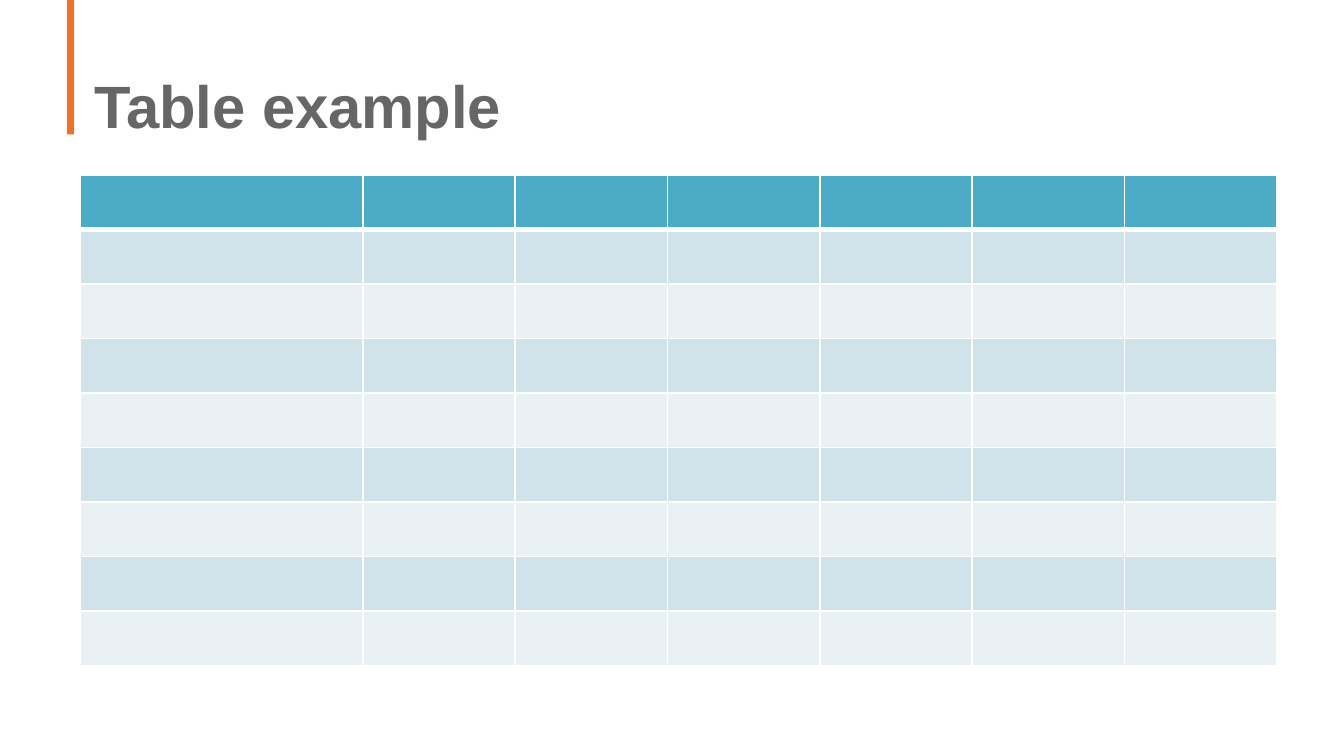
import lxml.etree
import pptx
import pptx.dml.color
import pptx.enum.shapes
import pptx.enum.text
import pptx.oxml.ns
import pptx.util

WIDTH = 10
HEIGHT = WIDTH * 9 / 16
ROWS, COLUMNS = 9, 7
FIRST_COLUMN = 2.1
HEADER, BANDS = "4BACC6", ("E9F1F5", "D0E3EA")


def colour(value):
    """Turn a hex string into a colour."""
    return pptx.dml.color.RGBColor.from_string(value)


def lengths(box):
    """Turn a box in inches into slide lengths."""
    return [pptx.util.Inches(value) for value in box]


def write(frame, text, *, size, font, fill, bold=False, spacing=1.0):
    """Write one left-aligned paragraph into a text frame."""
    para = frame.paragraphs[0]
    para.alignment = pptx.enum.text.PP_ALIGN.LEFT
    para.line_spacing = spacing
    span = para.add_run()
    span.text = text
    span.font.size = pptx.util.Pt(size)
    span.font.name = font
    span.font.bold = bold
    span.font.color.rgb = colour(fill)


def add_accent(page, box):
    """Add the orange bar beside the title."""
    bar = page.shapes.add_shape(pptx.enum.shapes.MSO_SHAPE.RECTANGLE, *lengths(box))
    bar.shadow.inherit = False
    bar.fill.solid()
    bar.fill.fore_color.rgb = colour("F37021")
    bar.line.fill.background()


def add_title(page, box):
    """Place and fill the title placeholder."""
    title = page.shapes.title
    title.left, title.top, title.width, title.height = lengths(box)
    frame = title.text_frame
    frame.word_wrap = True
    frame.auto_size = pptx.enum.text.MSO_AUTO_SIZE.NONE
    frame.vertical_anchor = pptx.enum.text.MSO_ANCHOR.BOTTOM
    write(frame, "Table example", size=32, font="Arial", fill="666666",
          bold=True, spacing=0.9)


def add_border(cell, side, points):
    """Draw a white border on one side of a cell."""
    qualify = pptx.oxml.ns.qn
    line = lxml.etree.SubElement(cell._tc.get_or_add_tcPr(), qualify(f"a:ln{side}"),
                                 w=str(pptx.util.Pt(points)))
    fill = lxml.etree.SubElement(line, qualify("a:solidFill"))
    lxml.etree.SubElement(fill, qualify("a:srgbClr"), val="FFFFFF")


def format_cell(cell, row):
    """Give a cell its borders and band colour."""
    weights = {"L": 1, "R": 1, "T": 3 if row == 1 else 1, "B": 3 if row == 0 else 1}
    for side, points in weights.items():
        add_border(cell, side, points)
    cell.fill.solid()
    cell.fill.fore_color.rgb = colour(BANDS[row % 2] if row else HEADER)


def add_grid(page, box):
    """Add the empty banded table with a wide first column."""
    table = page.shapes.add_table(ROWS, COLUMNS, *lengths(box)).table
    other_column = (box[2] - FIRST_COLUMN) / (COLUMNS - 1)
    for index, column in enumerate(table.columns):
        column.width = pptx.util.Inches(other_column if index else FIRST_COLUMN)
    for index, row in enumerate(table.rows):
        row.height = pptx.util.Inches(box[3] / ROWS)
        for cell in row.cells:
            format_cell(cell, index)


def main():
    """Build and save the slide."""
    deck = pptx.Presentation()
    deck.slide_width, deck.slide_height = lengths((WIDTH, HEIGHT))
    page = deck.slides.add_slide(deck.slide_layouts.get_by_name("Title Only"))
    left, width = 0.06 * WIDTH, 0.89 * WIDTH
    add_accent(page, (0.05 * WIDTH, 0, 0.05, 1))
    add_title(page, (left, 0.1, width, 1))
    add_grid(page, (left, 1.3, width, 0.65 * HEIGHT))
    deck.save("out.pptx")


if __name__ == "__main__":
    main()
